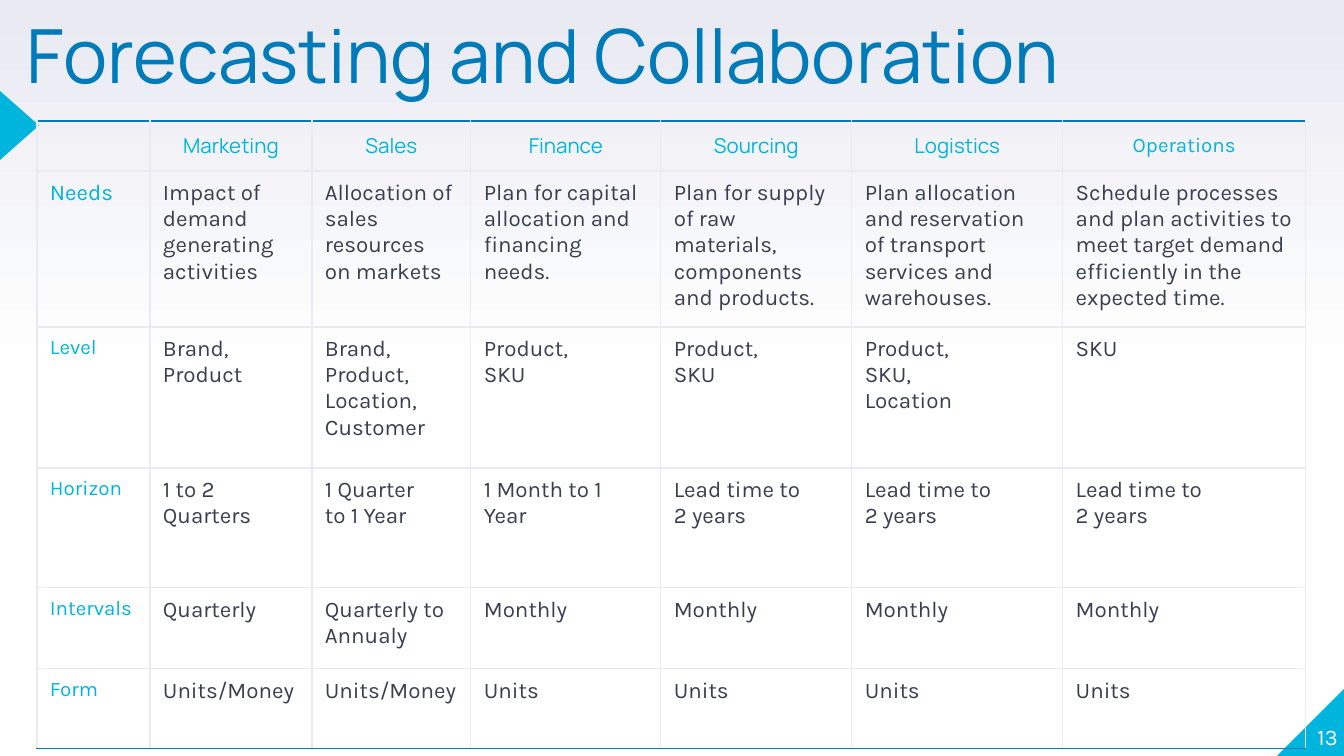
from copy import deepcopy
from dataclasses import dataclass

from lxml import etree
from pptx import Presentation
from pptx.dml.color import RGBColor
from pptx.enum.shapes import MSO_SHAPE
from pptx.enum.text import MSO_ANCHOR, PP_ALIGN
from pptx.oxml.ns import qn
from pptx.util import Pt

TRIANGLE = MSO_SHAPE.ISOSCELES_TRIANGLE
RIGHT_TRIANGLE = MSO_SHAPE.RIGHT_TRIANGLE
TOP, MIDDLE, BOTTOM = MSO_ANCHOR.TOP, MSO_ANCHOR.MIDDLE, MSO_ANCHOR.BOTTOM
LEFT, CENTER, RIGHT = PP_ALIGN.LEFT, PP_ALIGN.CENTER, PP_ALIGN.RIGHT

EMU_PER_PX = 914400 / 134.4
COLORS = {
    "title": "007BB9",
    "accent": "00B5DD",
    "body": "3A3F50",
    "grid": "E9EAF2",
    "white": "FFFFFF",
}
HEADING_FONT, BODY_FONT = "Manrope", "Karla"
BORDER_PT = 0.75
COLUMN_WIDTHS = [113, 162, 159, 190, 191, 211, 243]
ROW_HEIGHTS = [50, 156, 141, 120, 81, 80]
LEAD_TIME = "Lead time to\n2 years"
ROWS = [
    ["", "Marketing", "Sales", "Finance", "Sourcing", "Logistics", "Operations"],
    [
        "Needs",
        "Impact of demand generating activities",
        "Allocation of sales resources\von markets",
        "Plan for capital allocation and financing needs.",
        "Plan for supply of raw materials, components and products.",
        "Plan allocation and reservation of transport services and warehouses.",
        "Schedule processes and plan activities to meet target demand "
        "efficiently in the expected time.",
    ],
    [
        "Level",
        "Brand, Product",
        "Brand, Product,\nLocation,\nCustomer",
        "Product,\nSKU",
        "Product,\nSKU",
        "Product,\nSKU,\nLocation",
        "SKU",
    ],
    ["Horizon", "1 to 2 Quarters", "1 Quarter\nto 1 Year", "1 Month to 1 Year"]
    + [LEAD_TIME] * 3,
    ["Intervals", "Quarterly", "Quarterly to Annualy"] + ["Monthly"] * 4,
    ["Form"] + ["Units/Money"] * 2 + ["Units"] * 4,
]


@dataclass(frozen=True)
class Frame:
    left: int
    top: int
    width: int
    height: int

    def emu(self) -> list[int]:
        return [px(n) for n in (self.left, self.top, self.width, self.height)]


@dataclass(frozen=True)
class TextStyle:
    size: int
    color: str
    font: str = BODY_FONT
    align: PP_ALIGN = LEFT
    anchor: MSO_ANCHOR = TOP


@dataclass(frozen=True)
class Corner:
    shape: MSO_SHAPE
    frame: Frame
    rotation: int = 0
    mirrored: bool = False


CORNERS = [
    Corner(RIGHT_TRIANGLE, Frame(1277, 688, 68, 68), mirrored=True),
    Corner(TRIANGLE, Frame(-15, 106, 69, 39), rotation=90),
]
TITLE_STYLE = TextStyle(40, "title", HEADING_FONT)
NUMBER_STYLE = TextStyle(12, "white", align=RIGHT, anchor=BOTTOM)
BODY_STYLE = TextStyle(12, "body")


def px(length: int) -> int:
    return round(length * EMU_PER_PX)


def rgb(name: str) -> RGBColor:
    return RGBColor.from_string(COLORS[name])


def write(text_frame, text: str, style: TextStyle) -> None:
    text_frame.text = text
    text_frame.vertical_anchor = style.anchor
    for para in text_frame.paragraphs:
        para.alignment = style.align
        para.font.size = Pt(style.size)
        para.font.name = style.font
        para.font.color.rgb = rgb(style.color)


def clear_margins(text_frame) -> None:
    text_frame.word_wrap = True
    text_frame.margin_left = text_frame.margin_right = 0
    text_frame.margin_top = text_frame.margin_bottom = 0


def paint_background(page) -> None:
    fill = page.background.fill
    fill.gradient()
    fill.gradient_angle = 90
    for stop, color in zip(fill.gradient_stops, ("white", "grid")):
        stop.color.rgb = rgb(color)
    stops = page.element.find(".//" + qn("a:gsLst"))
    middle = deepcopy(stops[0])
    middle.set("pos", "50000")
    stops.insert(1, middle)


def draw_corner(page, corner: Corner) -> None:
    shape = page.shapes.add_shape(corner.shape, *corner.frame.emu())
    shape.shadow.inherit = False
    shape.fill.solid()
    shape.fill.fore_color.rgb = rgb("accent")
    shape.line.fill.background()
    shape.rotation = corner.rotation
    if corner.mirrored:
        shape.element.spPr.get_or_add_xfrm().set("flipH", "1")


def draw_borders(cell, top: str, bottom: str) -> None:
    properties = cell._tc.get_or_add_tcPr()
    sides = {"lnL": "grid", "lnR": "grid", "lnT": top, "lnB": bottom}
    for position, (side, color) in enumerate(sides.items()):
        line = etree.Element(qn(f"a:{side}"), w=str(Pt(BORDER_PT)))
        solid = etree.SubElement(line, qn("a:solidFill"))
        etree.SubElement(solid, qn("a:srgbClr"), val=COLORS[color])
        properties.insert(position, line)


def cell_style(row: int, column: int) -> TextStyle:
    if row == 0:
        font = BODY_FONT if ROWS[0][column] == "Operations" else HEADING_FONT
        return TextStyle(11, "accent", font, CENTER, MIDDLE)
    if column == 0:
        return TextStyle(12 if row == 1 else 11, "accent")
    return BODY_STYLE


def draw_table(page) -> None:
    frame = Frame(37, 121, sum(COLUMN_WIDTHS), sum(ROW_HEIGHTS))
    table = page.shapes.add_table(len(ROWS), len(COLUMN_WIDTHS), *frame.emu()).table
    table.first_row = table.horz_banding = False
    for column, width in zip(table.columns, COLUMN_WIDTHS):
        column.width = px(width)
    for row, height in zip(table.rows, ROW_HEIGHTS):
        row.height = px(height)
    last = len(ROWS) - 1
    for r, texts in enumerate(ROWS):
        for c, text in enumerate(texts):
            cell, style = table.cell(r, c), cell_style(r, c)
            cell.margin_left = cell.margin_right = px(13)
            cell.margin_top = cell.margin_bottom = px(9)
            write(cell.text_frame, text, style)
            cell.vertical_anchor = style.anchor
            cell.fill.background()
            draw_borders(cell, "title" if r == 0 else "grid", "title" if r == last else "grid")


def draw_title(page) -> None:
    title = page.shapes.title
    title.left, title.top, title.width, title.height = Frame(27, 26, 1250, 87).emu()
    clear_margins(title.text_frame)
    write(title.text_frame, "Forecasting and Collaboration", TITLE_STYLE)
    title.text_frame.paragraphs[0].line_spacing = 0.8


def draw_page_number(page) -> None:
    box = page.shapes.add_textbox(*Frame(1271, 681, 67, 69).emu())
    clear_margins(box.text_frame)
    write(box.text_frame, "13", NUMBER_STYLE)


def main() -> None:
    deck = Presentation()
    deck.slide_width, deck.slide_height = px(1344), px(756)
    page = deck.slides.add_slide(deck.slide_layouts[5])
    paint_background(page)
    for corner in CORNERS:
        draw_corner(page, corner)
    draw_title(page)
    draw_table(page)
    draw_page_number(page)
    deck.save("out.pptx")


if __name__ == "__main__":
    main()
